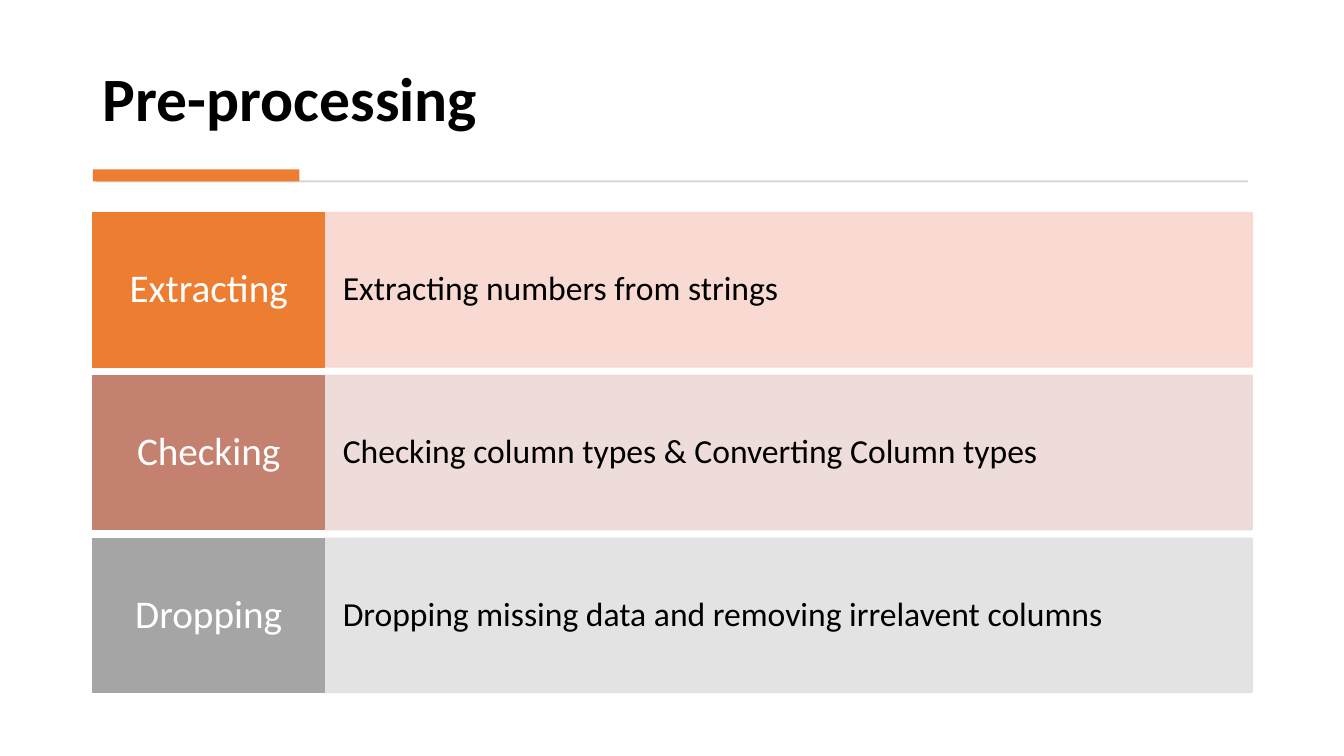
from lxml.etree import SubElement
from pptx import Presentation
from pptx.dml.color import RGBColor
from pptx.enum.shapes import MSO_SHAPE
from pptx.enum.text import MSO_ANCHOR, PP_ALIGN
from pptx.oxml.ns import qn
from pptx.util import Inches, Pt

FONT = "Calibri"
LEFT = 0.92
STEPS = [
    ("Extracting", "Extracting numbers from strings", "ED7D31", "F8D7CE"),
    ("Checking", "Checking column types & Converting Column types", "C48170", "EDD9D7"),
    ("Dropping", "Dropping missing data and removing irrelavent columns", "A5A5A5", "E1E1E1"),
]


def paint(color_format, color, alpha=100):
    """Set a solid colour, with its opacity in percent."""
    color_format.fore_color.rgb = RGBColor.from_string(color)
    if alpha < 100:
        solid = color_format._xPr.find(qn("a:solidFill"))
        SubElement(solid[0], qn("a:alpha"), val=str(alpha * 1000))


def add_block(slide, box, color, alpha=100, outlined=False):
    block = slide.shapes.add_shape(MSO_SHAPE.RECTANGLE, *map(Inches, box))
    block.shadow.inherit = False
    block.fill.solid()
    paint(block.fill, color, alpha)
    if outlined:
        block.line.width = Pt(1)
        block.line.fill.solid()
        paint(block.line.fill, color, alpha)
    else:
        block.line.fill.background()
    return block


def write(shape, text, size, color, anchor, margins, align=PP_ALIGN.LEFT, bold=False):
    frame = shape.text_frame
    frame.word_wrap = True
    frame.vertical_anchor = anchor
    across, down = map(Inches, margins)
    frame.margin_left = frame.margin_right = across
    frame.margin_top = frame.margin_bottom = down
    frame.text = text
    paragraph = frame.paragraphs[0]
    paragraph.alignment = align
    paragraph.line_spacing = 0.9
    font = paragraph.runs[0].font
    font.name, font.size, font.bold = FONT, Pt(size), bold
    font.color.rgb = RGBColor.from_string(color)
    return paragraph


def add_heading(slide, box, text):
    left, top, width, height = box
    title = slide.shapes.add_textbox(*map(Inches, (left, top, width, 1.11)))
    paragraph = write(title, text, 44, "000000", MSO_ANCHOR.BOTTOM, (0.1, 0.05), bold=True)
    paragraph.space_after = Pt(6)
    # Thin rule with an accent bar resting on it
    bottom = top + height
    add_block(slide, (left + 0.03, bottom - 0.02, width - 0.06, 0.02), "D5D5D5")
    add_block(slide, (left, bottom - 0.13, 2.05, 0.12), "ED7D31")


def add_steps(slide, box, steps, gap=0.085):
    left, top, width, height = box
    row_height = (height - gap * (len(steps) - 1)) / len(steps)
    label_width = width / 5
    for row, (verb, detail, strong, pale) in enumerate(steps):
        y = top + row * (row_height + gap)
        description = add_block(
            slide, (left + label_width, y, width - label_width, row_height), pale, 90, True)
        write(description, detail, 24, "000000", MSO_ANCHOR.MIDDLE, (0.18, 0.39))
        label = add_block(slide, (left, y, label_width, row_height), strong, outlined=True)
        write(label, verb, 28, "FFFFFF", MSO_ANCHOR.MIDDLE, (0.12, 0.15), PP_ALIGN.CENTER)


def main():
    deck = Presentation()
    deck.slide_width, deck.slide_height = Inches(13.33), Inches(7.5)
    slide = deck.slides.add_slide(deck.slide_layouts[6])
    add_heading(slide, (LEFT, 0.28, 11.49, 1.53), "Pre-processing")
    add_steps(slide, (LEFT, 2.11, 11.5, 4.76), STEPS)
    deck.save("out.pptx")


if __name__ == "__main__":
    main()
